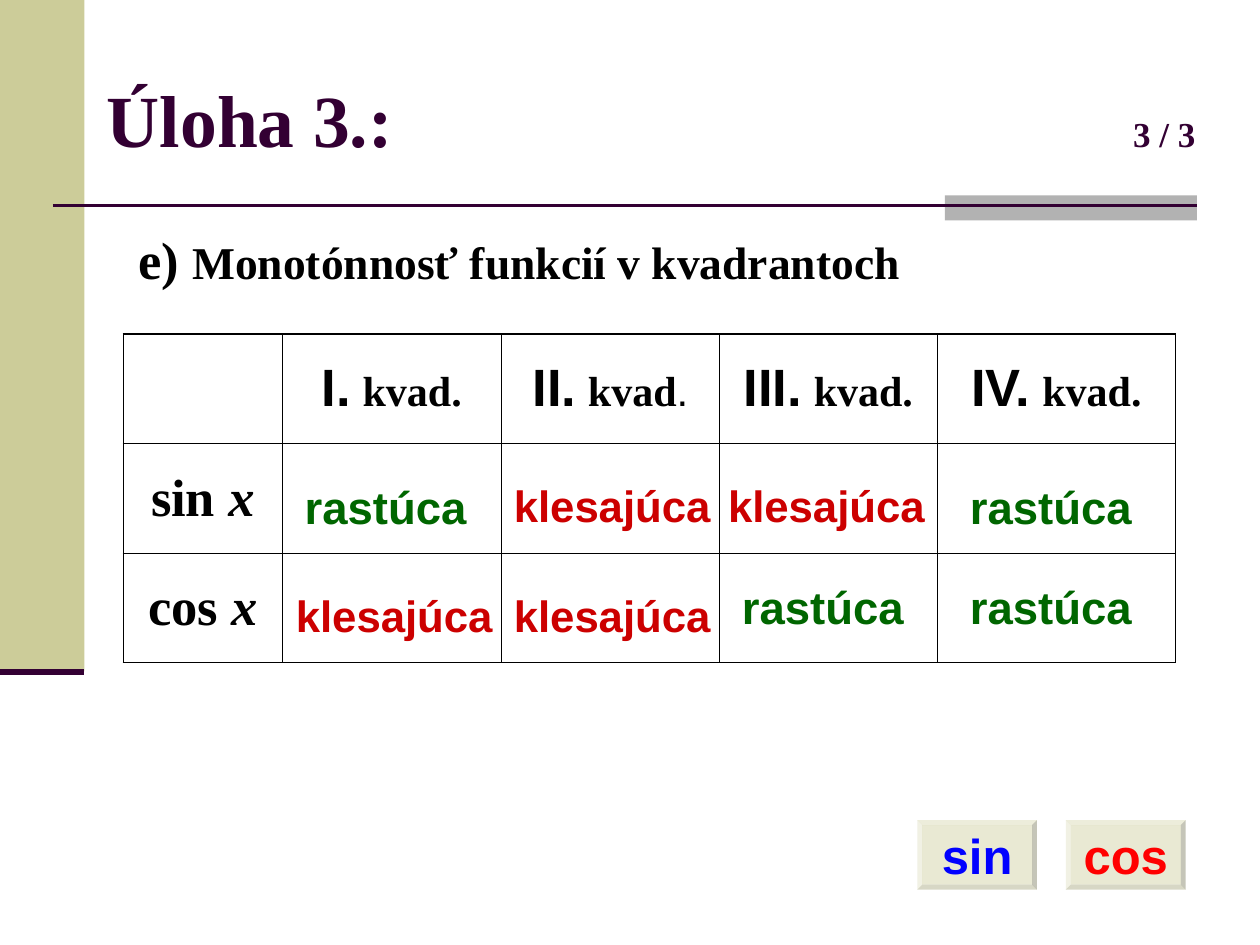
from pptx import Presentation
from pptx.dml.color import RGBColor
from pptx.enum.shapes import MSO_CONNECTOR as CONN, MSO_SHAPE as SHAPE
from pptx.enum.text import MSO_ANCHOR as ANCHOR, MSO_AUTO_SIZE as AUTO, PP_ALIGN as ALIGN
from pptx.oxml.ns import qn
from pptx.util import Inches, Pt
from lxml import etree

SERIF, SANS = "Times New Roman", "Arial"
PLUM, OLIVE, GRAY, BLACK = "330033", "CCCC99", "B2B2B2", "000000"
ANSWERS = {
    "rastúca": {"size": 26, "color": "006600", "w": 1.5, "h": 0.54},
    "klesajúca": {"size": 25, "color": "CC0000", "w": 1.77, "h": 0.52},
}


def rgb(color):
    return RGBColor.from_string(color)


def add_runs(p, runs):
    """Add (text, format) pairs; sizes are in points, colours are hex."""
    for text, fmt in runs:
        r = p.add_run()
        r.text = text
        fmt = {"bold": True, "color": BLACK, **fmt}
        r.font.color.rgb = rgb(fmt.pop("color"))
        fmt["size"] = Pt(fmt["size"])
        for name, value in fmt.items():
            setattr(r.font, name, value)


def add_text(s, x, y, w, h, runs, **frame):
    tf = s.shapes.add_textbox(Inches(x), Inches(y), Inches(w), Inches(h)).text_frame
    for name, value in {"word_wrap": True, **frame}.items():
        setattr(tf, name, value)
    add_runs(tf.paragraphs[0], runs)
    return tf.paragraphs[0]


def add_shape(s, kind, x, y, w, h, fill):
    sp = s.shapes.add_shape(kind, Inches(x), Inches(y), Inches(w), Inches(h))
    sp.shadow.inherit = False
    sp.fill.solid()
    sp.fill.fore_color.rgb = rgb(fill)
    sp.line.fill.background()
    return sp


def add_rule(s, x1, x2, y, width):
    line = s.shapes.add_connector(CONN.STRAIGHT, Inches(x1), Inches(y), Inches(x2), Inches(y))
    line.line.color.rgb = rgb(PLUM)
    line.line.width = Pt(width)
    etree.SubElement(line._element.spPr, qn("a:effectLst"))


def add_backdrop(s):
    add_shape(s, SHAPE.RECTANGLE, 0, 0, 0.67, 5.33, OLIVE)
    add_shape(s, SHAPE.RECTANGLE, 7.5, 1.55, 2, 0.2, GRAY)
    add_rule(s, 0.42, 9.5, 1.63, 1.5)
    add_rule(s, 0, 0.67, 5.33, 3.5)


def add_title(s, x, y, w, h, title, page):
    runs = [(title + "\t", {"size": 42, "name": SERIF, "color": PLUM}),
            (page, {"size": 20, "name": SERIF, "color": PLUM})]
    p = add_text(s, x, y, w, h, runs, vertical_anchor=ANCHOR.MIDDLE)
    tabs = etree.SubElement(p._p.get_or_add_pPr(), qn("a:tabLst"))
    etree.SubElement(tabs, qn("a:tab"), pos=str(Inches(8.64)), algn="r")


def set_borders(cell, widths):
    """Draw the left, right, top and bottom borders in that order."""
    tc_pr = cell._tc.get_or_add_tcPr()
    for side, width in zip("LRTB", widths):
        ln = etree.SubElement(tc_pr, qn(f"a:ln{side}"), w=str(Pt(width)))
        fill = etree.SubElement(ln, qn("a:solidFill"))
        etree.SubElement(fill, qn("a:srgbClr"), val=BLACK)


def quadrant_runs(numeral):
    runs = [(numeral + ".", {"size": 30, "name": SANS}),
            (" ", {"size": 24, "name": SANS, "bold": False})]
    if numeral == "II":
        return runs + [("kvad", {"size": 24, "name": SERIF}),
                       (".", {"size": 24, "name": SANS, "bold": False})]
    return runs + [("kvad.", {"size": 24, "name": SERIF})]


def function_runs(name):
    return [(name, {"size": 30, "name": SERIF}),
            (" x", {"size": 30, "name": SERIF, "italic": True})]


def add_quadrant_table(s, x, y, col_widths, row_height):
    labels = {(0, c): quadrant_runs(n) for c, n in enumerate(["I", "II", "III", "IV"], 1)}
    labels |= {(r, 0): function_runs(n) for r, n in enumerate(["sin", "cos"], 1)}
    rows, cols = 3, len(col_widths)
    table = s.shapes.add_table(rows, cols, Inches(x), Inches(y), Inches(sum(col_widths)),
                               Inches(rows * row_height)).table
    table.first_row = table.horz_banding = False
    for col, width in zip(table.columns, col_widths):
        col.width = Inches(width)
    for r, row in enumerate(table.rows):
        row.height = Inches(row_height)
        for c, cell in enumerate(row.cells):
            outer = (c == 0, c == cols - 1, r == 0, r == rows - 1)
            set_borders(cell, [1.08 if edge else 0.45 for edge in outer])
            cell.fill.background()
            cell.vertical_anchor = ANCHOR.MIDDLE
            p = cell.text_frame.paragraphs[0]
            p.alignment = ALIGN.CENTER
            add_runs(p, labels.get((r, c), []))


def add_answer(s, x, y, word):
    a = ANSWERS[word]
    add_text(s, x, y, a["w"], a["h"],
             [(word, {"size": a["size"], "name": SANS, "color": a["color"]})],
             word_wrap=False, auto_size=AUTO.SHAPE_TO_FIT_TEXT)


def add_button(s, x, y, w, h, label, color):
    sp = add_shape(s, SHAPE.BEVEL, x, y, w, h, OLIVE)
    sp.adjustments[0] = 0.07
    clr = sp._element.spPr.find(qn("a:solidFill")).find(qn("a:srgbClr"))
    etree.SubElement(clr, qn("a:alpha"), val="43000")
    tf = sp.text_frame
    tf.word_wrap = False
    tf.vertical_anchor = ANCHOR.MIDDLE
    p = tf.paragraphs[0]
    p.alignment = ALIGN.CENTER
    add_runs(p, [(label, {"size": 28, "name": SANS, "color": color})])


def main():
    prs = Presentation()
    prs.slide_width, prs.slide_height = Inches(10), Inches(7.5)
    s = prs.slides.add_slide(prs.slide_layouts[6])
    add_backdrop(s)
    add_title(s, 0.75, 0.31, 9.06, 1.25, "Úloha 3.:", "3 / 3")
    add_text(s, 1, 1.75, 8.5, 4.95, [("e) ", {"size": 30, "name": SERIF}),
             ("Monotónnosť funkcií v kvadrantoch", {"size": 26, "name": SERIF})])
    add_quadrant_table(s, 0.98, 2.65, [1.26, 1.74, 1.73, 1.73, 1.89], 0.87)
    for x, y, word in [
        (2.32, 3.75, "rastúca"), (3.98, 3.75, "klesajúca"),
        (5.68, 3.75, "klesajúca"), (7.6, 3.75, "rastúca"),
        (2.25, 4.62, "klesajúca"), (3.98, 4.62, "klesajúca"),
        (5.79, 4.55, "rastúca"), (7.6, 4.55, "rastúca"),
    ]:
        add_answer(s, x, y, word)
    for x, label, color in [(7.28, "sin", "0000FF"), (8.46, "cos", "FF0000")]:
        add_button(s, x, 6.51, 0.95, 0.55, label, color)
    prs.save("out.pptx")


if __name__ == "__main__":
    main()
